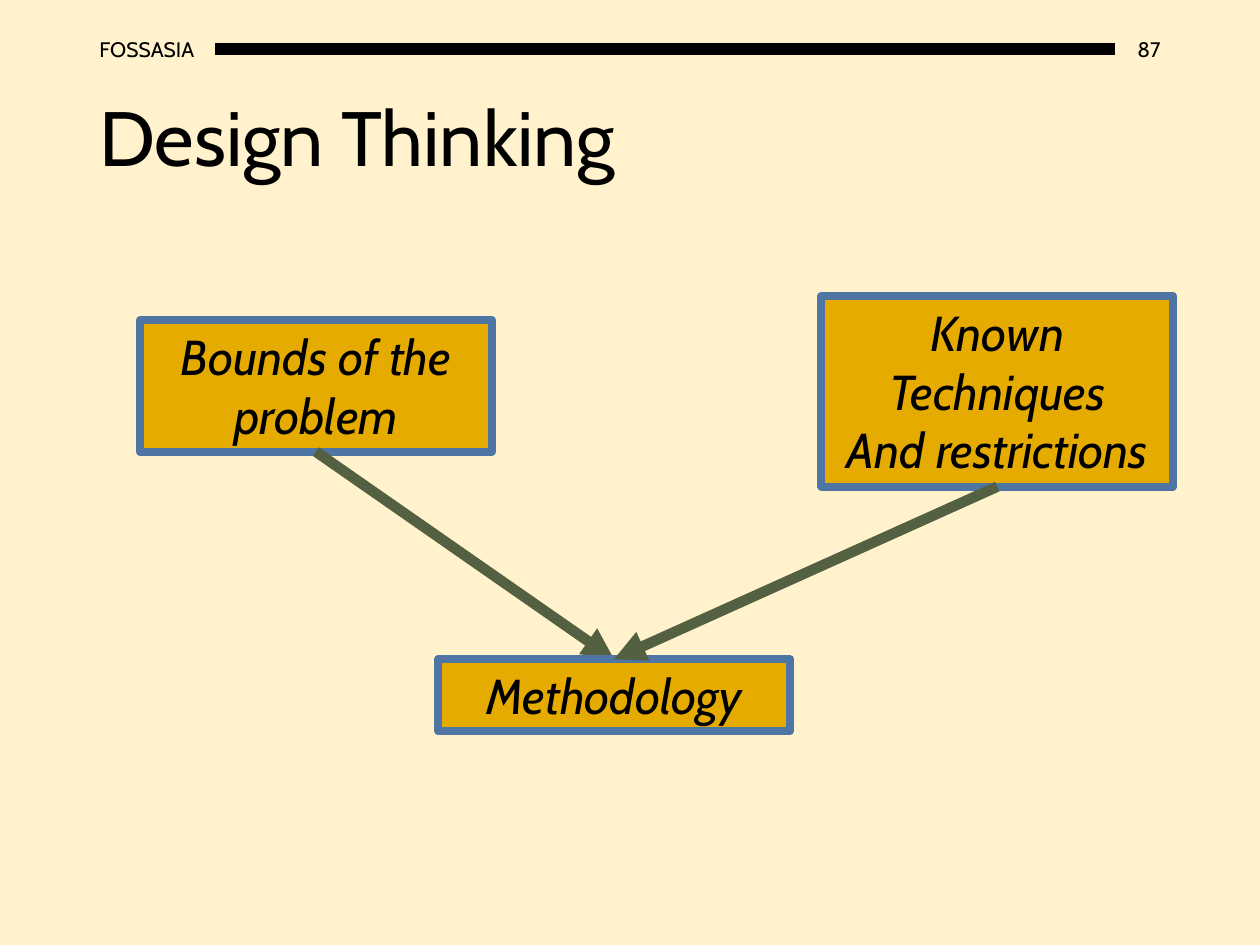
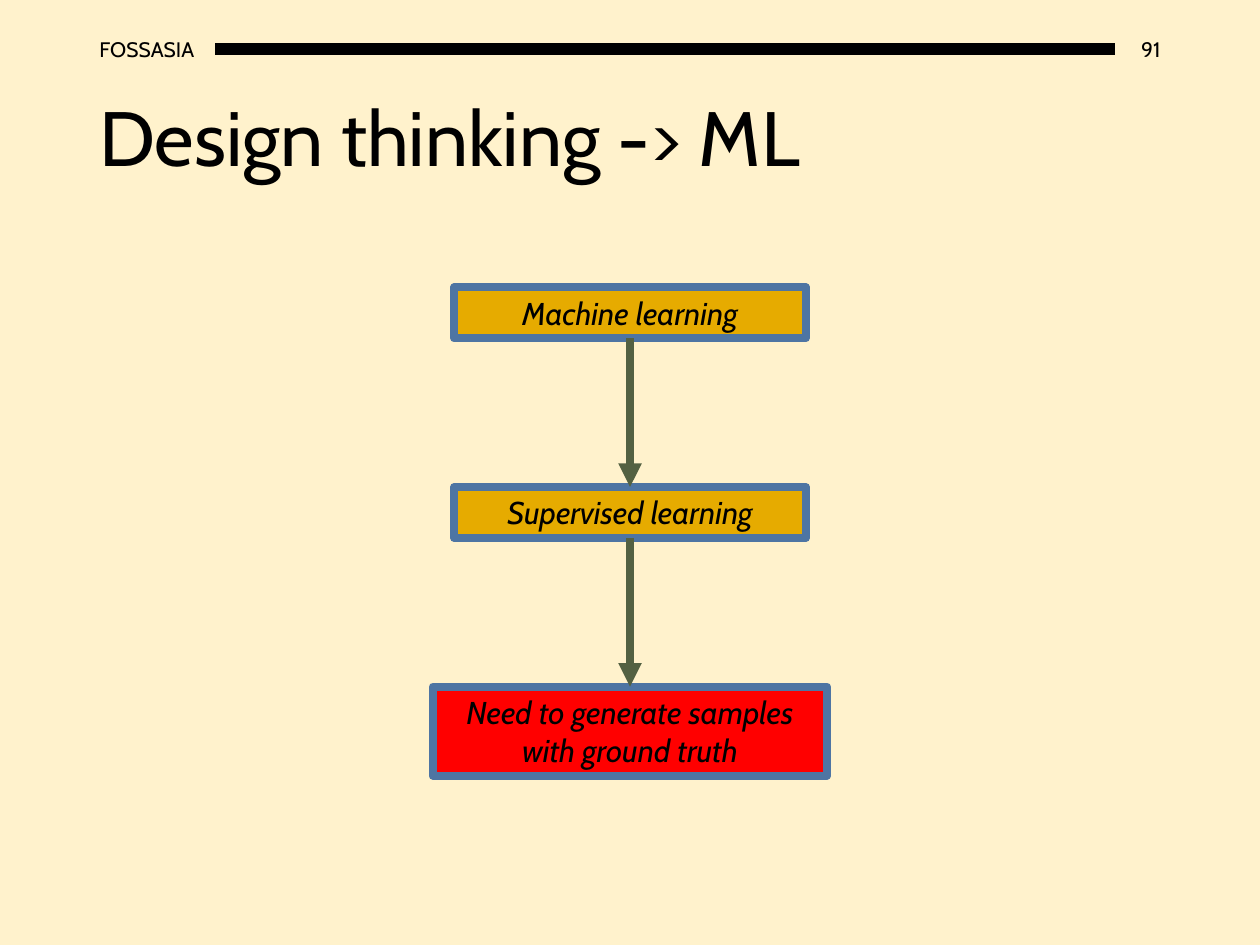
from lxml import etree
from pptx import Presentation
from pptx.dml.color import RGBColor
from pptx.enum.shapes import MSO_CONNECTOR, MSO_SHAPE
from pptx.enum.text import MSO_ANCHOR, MSO_AUTO_SIZE, PP_ALIGN
from pptx.oxml.ns import qn
from pptx.util import Pt

STRAIGHT = MSO_CONNECTOR.STRAIGHT
RECTANGLE = MSO_SHAPE.RECTANGLE
TOP, MIDDLE = MSO_ANCHOR.TOP, MSO_ANCHOR.MIDDLE
LEFT, CENTER, RIGHT = PP_ALIGN.LEFT, PP_ALIGN.CENTER, PP_ALIGN.RIGHT
GROW = MSO_AUTO_SIZE.SHAPE_TO_FIT_TEXT
SITE_TOP, SITE_BOTTOM = 0, 2

COLORS = {
    "paper": "FFF2CC",
    "ink": "000000",
    "gold": "E6AB00",
    "alert": "FF0000",
    "border": "4E75A3",
    "arrow": "536142",
}
FONT = "Cabin"
SLIDE_WIDTH, SLIDE_HEIGHT = 720, 540
MARGIN = 49.7
HEADER_MIDDLE = 28.2
BOX_WIDTH = 201


def color(name):
    return RGBColor.from_string(COLORS[name])


def extend_outline(shape, tag, **attributes):
    outline = shape._element.spPr.find(qn("a:ln"))
    etree.SubElement(outline, qn(tag), **attributes)


class SlideBuilder:
    def __init__(self, deck):
        self.deck = deck
        self.slide = None

    def new_slide(self, title, number):
        self.slide = self.deck.slides.add_slide(self.deck.slide_layouts[6])
        fill = self.slide.background.fill
        fill.solid()
        fill.fore_color.rgb = color("paper")
        # Header: page number, event name and rule
        header_top = HEADER_MIDDLE - 14.4
        self.label(637.2, header_top, 33.1, 28.8, str(number), 12, RIGHT)
        self.label(MARGIN, header_top, 73.4, 28.8, "FOSSASIA", 12)
        self.line((123.1, HEADER_MIDDLE), (637.2, HEADER_MIDDLE), "ink", 7)
        # Title
        self.label(MARGIN, 28.8, SLIDE_WIDTH - 2 * MARGIN, 104.4, title, 44, spacing=0.9)

    def fill_text(self, shape, lines, size, align, anchor, italic=False, spacing=None):
        frame = shape.text_frame
        frame.word_wrap = True
        frame.vertical_anchor = anchor
        for index, text in enumerate(lines):
            para = frame.add_paragraph() if index else frame.paragraphs[0]
            para.alignment = align
            if spacing:
                para.line_spacing = spacing
            span = para.add_run()
            span.text = text
            span.font.name = FONT
            span.font.size = Pt(size)
            span.font.italic = italic
            span.font.color.rgb = color("ink")

    def label(self, left, top, width, height, text, size, align=LEFT, spacing=None):
        box = self.slide.shapes.add_textbox(Pt(left), Pt(top), Pt(width), Pt(height))
        self.fill_text(box, [text], size, align, MIDDLE, spacing=spacing)

    def box(self, left, top, width, height, lines, size, fill="gold"):
        box = self.slide.shapes.add_shape(RECTANGLE, Pt(left), Pt(top), Pt(width), Pt(height))
        box.shadow.inherit = False
        box.fill.solid()
        box.fill.fore_color.rgb = color(fill)
        box.line.color.rgb = color("border")
        box.line.width = Pt(4.5)
        extend_outline(box, "a:round")
        self.fill_text(box, lines, size, CENTER, TOP, italic=True)
        box.text_frame.auto_size = GROW
        return box

    def line(self, start, end, ink, weight):
        points = [Pt(value) for value in (*start, *end)]
        line = self.slide.shapes.add_connector(STRAIGHT, *points)
        line.line.color.rgb = color(ink)
        line.line.width = Pt(weight)
        etree.SubElement(line._element.spPr, qn("a:effectLst"))
        return line

    def arrow(self, source, target, weight, behind=None):
        arrow = self.line((0, 0), (0, 0), "arrow", weight)
        arrow.begin_connect(source, SITE_BOTTOM)
        arrow.end_connect(target, SITE_TOP)
        extend_outline(arrow, "a:tailEnd", type="triangle")
        if behind is not None:
            behind._element.addprevious(arrow._element)


def design_thinking(builder):
    builder.new_slide("Design Thinking", 87)
    bounds = builder.box(80, 183, BOX_WIDTH, 75.1, ["Bounds of the problem"], 28)
    known = builder.box(469.4, 169.2, BOX_WIDTH, 108.9,
                        ["Known Techniques", "And restrictions"], 28)
    method = builder.box(250.4, 376.7, BOX_WIDTH, 41.2, ["Methodology"], 28)
    builder.arrow(bounds, method, 6, behind=method)
    builder.arrow(known, method, 6)


def machine_learning(builder):
    builder.new_slide("Design thinking -> ML", 91)
    # Three steps, centred and evenly spaced
    first_top, step = 164.2, 114.1
    steps = [
        ("Machine learning", BOX_WIDTH, 29.1, "gold"),
        ("Supervised learning", BOX_WIDTH, 29.1, "gold"),
        ("Need to generate samples with ground truth", 225.4, 50.9, "alert"),
    ]
    boxes = [
        builder.box((SLIDE_WIDTH - width) / 2, first_top + index * step,
                    width, height, [text], 18, fill)
        for index, (text, width, height, fill) in enumerate(steps)
    ]
    for source, target in zip(boxes, boxes[1:]):
        builder.arrow(source, target, 4.5)


def main():
    deck = Presentation()
    deck.slide_width, deck.slide_height = Pt(SLIDE_WIDTH), Pt(SLIDE_HEIGHT)
    builder = SlideBuilder(deck)
    design_thinking(builder)
    machine_learning(builder)
    deck.save("out.pptx")


if __name__ == "__main__":
    main()
